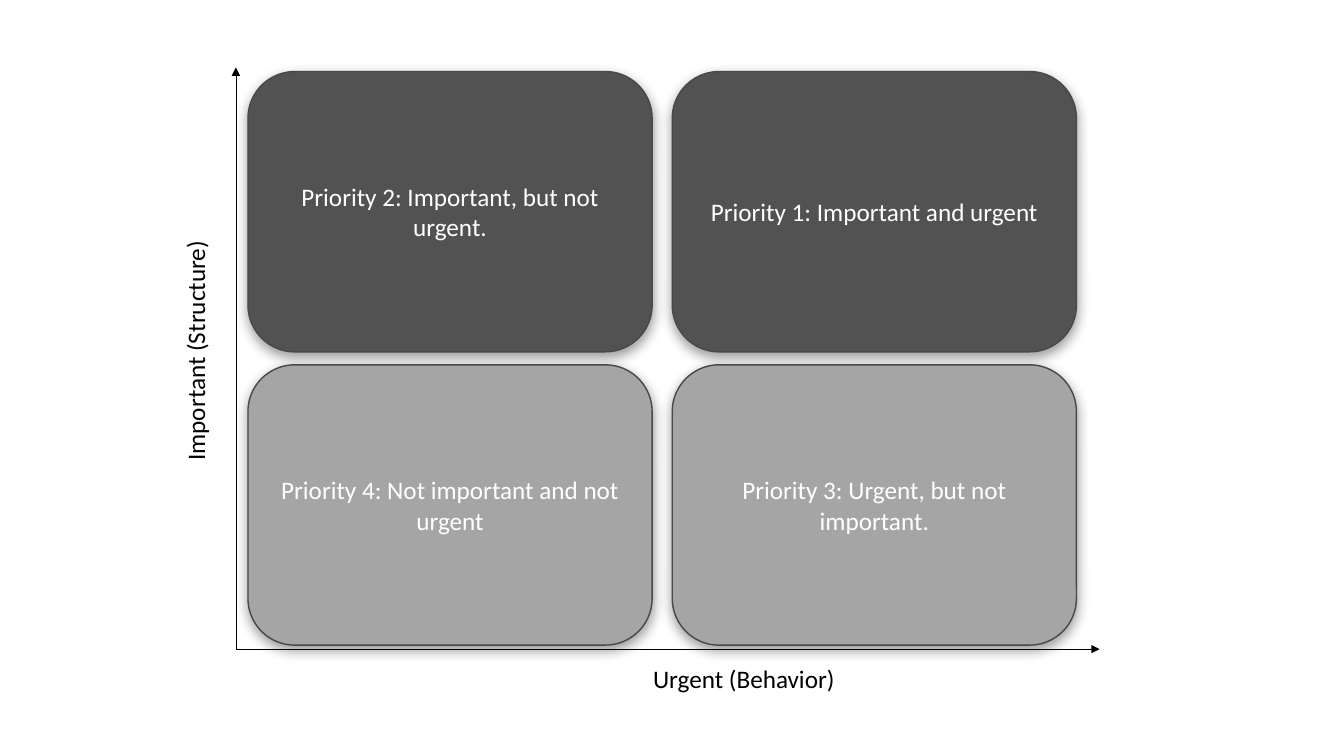
from lxml.etree import SubElement
from pptx import Presentation
from pptx.dml.color import RGBColor
from pptx.enum.shapes import MSO_CONNECTOR, MSO_SHAPE
from pptx.enum.text import MSO_ANCHOR, MSO_AUTO_SIZE, PP_ALIGN
from pptx.oxml.ns import qn
from pptx.util import Pt

BLACK = RGBColor(0x00, 0x00, 0x00)
WHITE = RGBColor(0xFF, 0xFF, 0xFF)
DARK = RGBColor(0x52, 0x52, 0x52)
LIGHT = RGBColor(0xA5, 0xA5, 0xA5)
EDGE = RGBColor(0x48, 0x48, 0x48)

ORIGIN = (168.5, 463.7)
AXIS_RIGHT, AXIS_TOP = 785.5, 48.2
CARD_LEFT, CARD_TOP = 177.1, 51.1
CARD_WIDTH, CARD_HEIGHT = 288.7, 200.2
COLUMN_STEP, ROW_STEP = 303.1, 209.5
LABEL_SIZE = (255.6, 28.8)

# Rows run from important to not important, columns from not urgent to urgent.
MATRIX = [
    (DARK, ["Priority 2: Important, but not urgent.",
            "Priority 1: Important and urgent"]),
    (LIGHT, ["Priority 4: Not important and not urgent",
             "Priority 3: Urgent, but not important."]),
]


class MatrixPage:
    """Holds the text style and the current slide."""

    font = {"name": "Calibri", "size": Pt(18)}

    def __init__(self, page):
        """Keep the slide that receives the elements."""
        self.page = page

    def set_text(self, frame, text, color, align):
        """Put one styled paragraph into a text frame."""
        frame.word_wrap = True
        paragraph = frame.paragraphs[0]
        paragraph.alignment = align
        span = paragraph.add_run()
        span.text = text
        for name, value in self.font.items():
            setattr(span.font, name, value)
        span.font.color.rgb = color

    def axis(self, start, end):
        """Draw a thin line with an arrowhead at its end."""
        connector = self.page.shapes.add_connector(
            MSO_CONNECTOR.STRAIGHT, *map(Pt, start + end))
        connector.line.color.rgb = BLACK
        connector.line.width = Pt(0.5)
        properties = connector._element.spPr
        SubElement(properties.find(qn("a:ln")), qn("a:tailEnd"),
                   type="triangle")
        SubElement(properties, qn("a:effectLst"))

    def label(self, left, top, text, align, rotation=0):
        """Add an axis label."""
        box = self.page.shapes.add_textbox(*map(Pt, (left, top) + LABEL_SIZE))
        box.rotation = rotation
        box.text_frame.auto_size = MSO_AUTO_SIZE.SHAPE_TO_FIT_TEXT
        self.set_text(box.text_frame, text, BLACK, align)

    def card(self, left, top, text, fill):
        """Add a rounded priority card with a soft shadow."""
        card = self.page.shapes.add_shape(
            MSO_SHAPE.ROUNDED_RECTANGLE,
            *map(Pt, (left, top, CARD_WIDTH, CARD_HEIGHT)))
        card.fill.solid()
        card.fill.fore_color.rgb = fill
        card.line.color.rgb = EDGE
        card.line.width = Pt(1)
        card.text_frame.vertical_anchor = MSO_ANCHOR.MIDDLE
        self.set_text(card.text_frame, text, WHITE, PP_ALIGN.CENTER)
        self.soft_shadow(card)

    def soft_shadow(self, shape):
        """Cast a blurred shadow straight down."""
        shape.shadow.inherit = False
        effects = shape._element.spPr.find(qn("a:effectLst"))
        shadow = SubElement(
            effects, qn("a:outerShdw"), blurRad=str(int(Pt(9))),
            dist=str(int(Pt(3))), dir="5400000", algn="ctr", rotWithShape="0")
        color = SubElement(shadow, qn("a:srgbClr"), val=str(BLACK))
        SubElement(color, qn("a:alpha"), val="40000")


def main():
    """Build the priority matrix and save it."""
    deck = Presentation()
    deck.slide_width, deck.slide_height = Pt(960), Pt(540)
    matrix = MatrixPage(deck.slides.add_slide(deck.slide_layouts[6]))

    matrix.axis(ORIGIN, (AXIS_RIGHT, ORIGIN[1]))
    matrix.axis(ORIGIN, (ORIGIN[0], AXIS_TOP))
    matrix.label(459.4, 470.2, "Urgent (Behavior)", PP_ALIGN.LEFT)
    matrix.label(11.5, 236.2, "Important (Structure)", PP_ALIGN.CENTER, 270)

    for row, (fill, texts) in enumerate(MATRIX):
        for column, text in enumerate(texts):
            matrix.card(CARD_LEFT + column * COLUMN_STEP,
                        CARD_TOP + row * ROW_STEP, text, fill)

    deck.save("out.pptx")


main()
